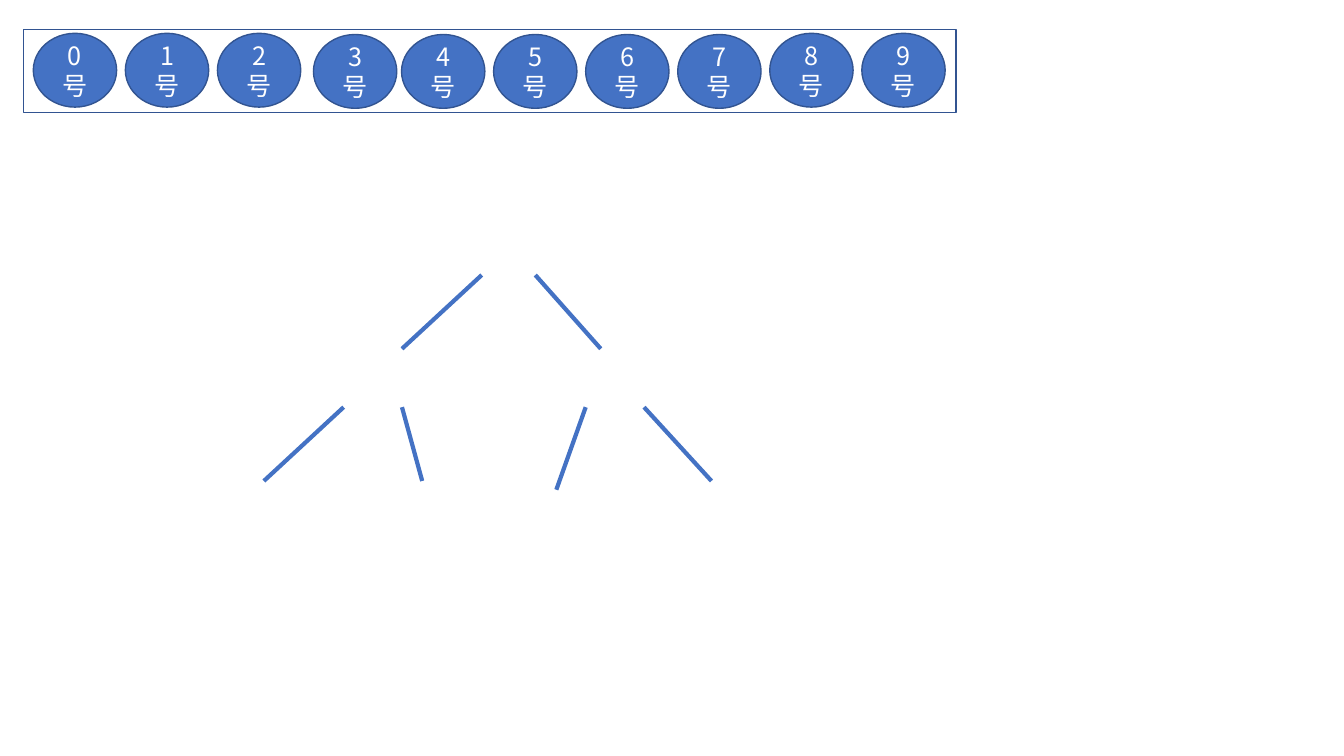
from lxml import etree
from pptx import Presentation
from pptx.dml.color import RGBColor
from pptx.enum.shapes import MSO_CONNECTOR, MSO_SHAPE
from pptx.enum.text import MSO_ANCHOR, PP_ALIGN
from pptx.oxml.ns import qn
from pptx.util import Cm, Pt

RECTANGLE = MSO_SHAPE.RECTANGLE
CIRCLE = MSO_SHAPE.FLOWCHART_CONNECTOR
STRAIGHT = MSO_CONNECTOR.STRAIGHT
MIDDLE = MSO_ANCHOR.MIDDLE
CENTER = PP_ALIGN.CENTER

COLORS = {"node": "4472C4", "outline": "325491", "label": "FFFFFF"}
FONT = "Noto Sans CJK SC"
LABEL_FORMAT = {"name": FONT, "size": Pt(18)}
FRAME_FORMAT = {"word_wrap": True, "vertical_anchor": MIDDLE}


def apply_format(target, values):
    for name, value in values.items():
        setattr(target, name, value)


class Board:
    def __init__(self, page):
        self.page = page

    def color(self, name):
        return RGBColor.from_string(COLORS[name])

    def shape(self, kind, left, top, width, height, fill=None):
        box = self.page.shapes.add_shape(kind, Cm(left), Cm(top), Cm(width), Cm(height))
        box.shadow.inherit = False
        if fill:
            box.fill.solid()
            box.fill.fore_color.rgb = self.color(fill)
        else:
            box.fill.background()
        box.line.color.rgb = self.color("outline")
        box.line.width = Pt(1)
        return box

    def node(self, left, top, width, height, label):
        box = self.shape(CIRCLE, left, top, width, height, "node")
        apply_format(box.text_frame, FRAME_FORMAT)
        para = box.text_frame.paragraphs[0]
        para.alignment = CENTER
        span = para.add_run()
        span.text = label
        apply_format(span.font, LABEL_FORMAT)
        span.font.color.rgb = self.color("label")
        properties = span._r.get_or_add_rPr()
        etree.SubElement(properties, qn("a:ea")).set("typeface", FONT)

    def branch(self, start, end):
        points = [Cm(value) for value in (*start, *end)]
        line = self.page.shapes.add_connector(STRAIGHT, *points)
        line.line.color.rgb = self.color("node")
        line.line.width = Pt(3)
        etree.SubElement(line._element.spPr, qn("a:effectLst"))


NODE_COUNT = 10
NODE_LEFT, NODE_TOP, NODE_PITCH = 0.84, 0.84, 2.32
NODE_WIDTH, NODE_HEIGHT = 2.1, 1.86
LEFT_SHIFTS = {3: 0.1}
LOWERED_NODES = range(3, 8)
LOWERING = 0.03

BRANCHES = [
    ((12.14, 6.93), (10.13, 8.79)),
    ((13.49, 6.93), (15.14, 8.79)),
    ((8.66, 10.26), (6.65, 12.12)),
    ((10.13, 10.26), (10.64, 12.12)),
    ((14.76, 10.26), (14.02, 12.34)),
    ((16.23, 10.26), (17.93, 12.12)),
]

deck = Presentation()
deck.slide_width, deck.slide_height = Cm(33.87), Cm(19.05)
board = Board(deck.slides.add_slide(deck.slide_layouts[6]))

board.shape(RECTANGLE, 0.59, 0.74, 23.5, 2.1)
for number in range(NODE_COUNT):
    left = NODE_LEFT + number * NODE_PITCH + LEFT_SHIFTS.get(number, 0)
    top = NODE_TOP + (LOWERING if number in LOWERED_NODES else 0)
    board.node(left, top, NODE_WIDTH, NODE_HEIGHT, f"{number}号")
for start, end in BRANCHES:
    board.branch(start, end)

deck.save("out.pptx")
